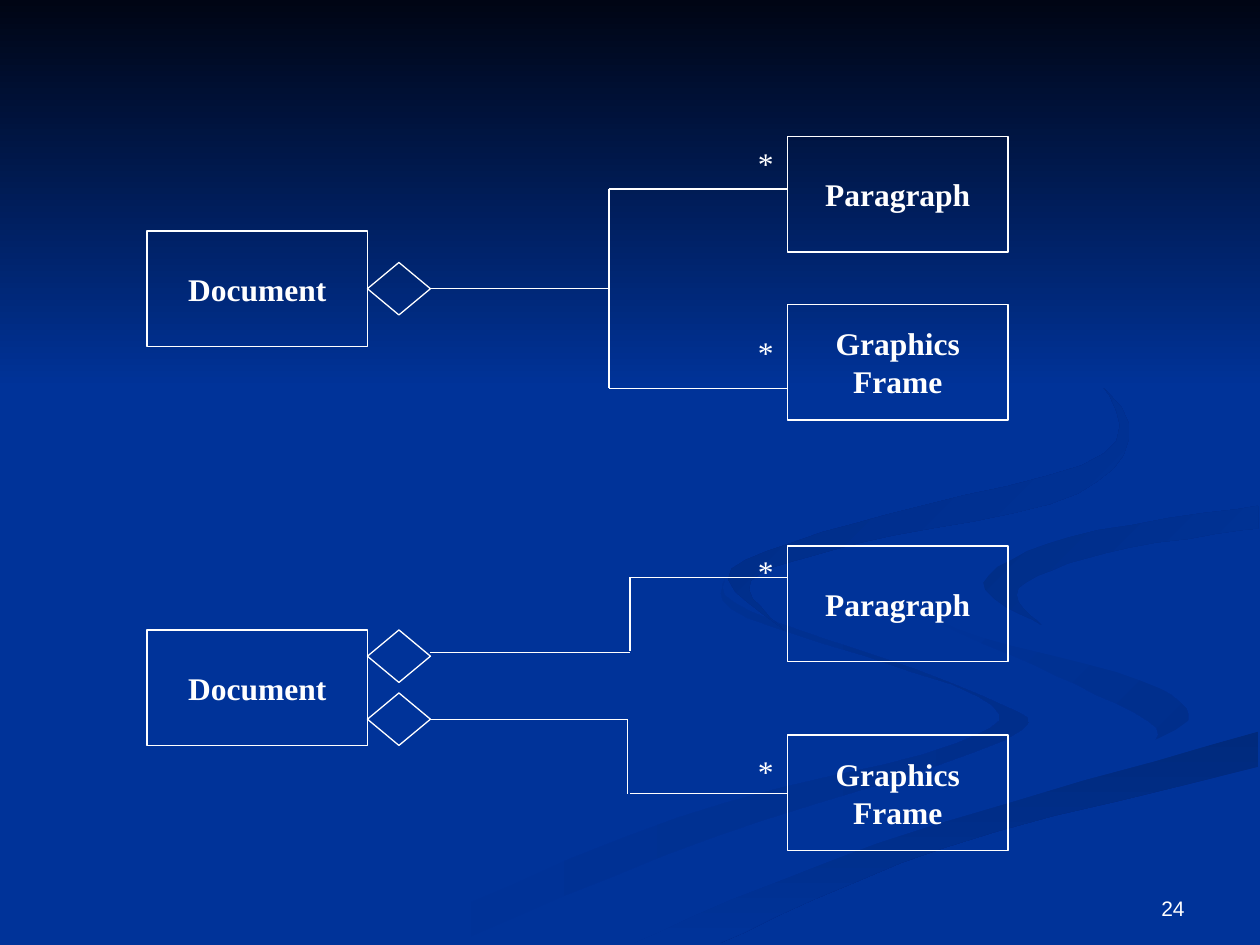
from lxml.etree import SubElement
from pptx import Presentation
from pptx.dml.color import RGBColor as Rgb
from pptx.enum.shapes import MSO_CONNECTOR as Conn, MSO_SHAPE as Kind
from pptx.enum.text import MSO_ANCHOR as Anchor, PP_ALIGN as Align
from pptx.oxml.ns import qn
from pptx.util import Pt

HUES = {
    "blue": "003399", "night": "000514", "white": "FFFFFF",
    "dusk": "002E8B", "deep": "002A7D", "mid": "002D86", "ink": "002B82",
}
SERIF = {"name": "Times New Roman", "size": Pt(18)}
BOLD = {**SERIF, "bold": True}
SANS = {"name": "Arial", "size": Pt(12)}

BOX_W, BOX_H = 126, 66
DOC_X, PART_X = 84, 450
GEM_X, GEM_W, GEM_H = DOC_X + BOX_W, 36, 30
STAR_X = 426

# Ribbons from back to front: first hue, last hue, clockwise angle, curved edges
RIBBONS = [
    ("blue", "dusk", 0, [
        [(414, 330), (428, 349), (562, 398), (574, 423), (406, 479), (260, 539)],
        [(216, 539), (388, 467), (546, 425), (559, 398), (427, 353), (414, 330)]]),
    ("blue", "dusk", 45, [
        [(521, 334), (546, 359), (652, 389), (679, 412), (644, 436)],
        [(644, 436), (661, 416), (603, 386), (528, 351), (521, 334)]]),
    ("deep", "blue", 90, [
        [(362, 539), (501, 482), (719, 418)],
        [(719, 438), (541, 484), (411, 539)]]),
    ("blue", "blue", 0, [
        [(719, 279), (613, 296), (522, 330), (546, 359), (652, 389), (679, 412),
         (585, 450), (343, 539)],
        [(362, 539), (501, 482), (719, 418)],
        [(719, 387), (599, 359), (563, 331), (612, 307), (719, 289)]]),
    ("mid", "blue", 45, [
        [(719, 289), (611, 307), (562, 333), (595, 357)],
        [(595, 357), (582, 336), (632, 316), (719, 302)]]),
    ("ink", "blue", 45, [
        [(448, 360), (429, 332), (492, 310), (616, 282), (641, 233), (549, 168)],
        [(549, 168), (621, 210), (631, 259), (507, 294), (418, 325), (448, 360)]]),
    ("night", "blue", 90, [[(0, 0), (720, 0)], [(720, 222), (0, 222)]]),
]


def hue(name):
    return Rgb.from_string(HUES[name])


def curve(dots, steps=6):
    """Return points on a smooth curve through all the dots."""
    ends = [dots[0], *dots, dots[-1]]
    path = [dots[0]]
    for a, b, c, d in zip(ends, ends[1:], ends[2:], ends[3:]):
        for step in range(1, steps + 1):
            t = step / steps
            path.append(tuple(
                q + t / 2 * (r - p + t * (2 * p - 5 * q + 4 * r - s
                                          + t * (3 * (q - r) + s - p)))
                for p, q, r, s in zip(a, b, c, d)))
    return path


def ribbon(slide, first, last, angle, edges):
    dots = [dot for edge in edges for dot in curve(edge)]
    pen = slide.shapes.build_freeform(*dots[0], scale=Pt(1))
    pen.add_line_segments(dots[1:], close=True)
    shape = pen.convert_to_shape()
    shape.shadow.inherit = False
    shape.line.fill.background()
    fill = shape.fill
    fill.gradient()
    fill.gradient_angle = -angle % 360
    for stop, name in zip(fill.gradient_stops, (first, last)):
        stop.color.rgb = hue(name)


def ink(item):
    """Give an outline its thin white line."""
    item.line.color.rgb = hue("white")
    item.line.width = Pt(0.75)


def write(shape, lines, font, align, anchor, wrap, gap=None):
    frame = shape.text_frame
    frame.word_wrap = wrap
    frame.vertical_anchor = anchor
    frame.text = "\n".join(lines)
    for para in frame.paragraphs:
        para.alignment = align
        para.space_before = gap
        for key, value in font.items():
            setattr(para.font, key, value)
        para.font.color.rgb = hue("white")


def outline(slide, kind, *area):
    shape = slide.shapes.add_shape(kind, *map(Pt, area))
    shape.shadow.inherit = False
    shape.fill.background()
    ink(shape)
    return shape


def box(slide, x, y, *lines):
    shape = outline(slide, Kind.RECTANGLE, x, y, BOX_W, BOX_H)
    write(shape, lines, BOLD, Align.CENTER, Anchor.MIDDLE, False)


def gem(slide, y):
    return outline(slide, Kind.DIAMOND, GEM_X, y, GEM_W, GEM_H)


def label(slide, area, text, font, align, anchor, gap=None):
    shape = slide.shapes.add_textbox(*map(Pt, area))
    write(shape, [text], font, align, anchor, True, gap)


def star(slide, y):
    area = (STAR_X, y, 18, 28.8)
    label(slide, area, "*", SERIF, Align.LEFT, Anchor.TOP, Pt(11.2))


def line(slide, x1, y1, x2, y2, start=None):
    """Draw a line, joined to the right corner of a diamond if one is given."""
    wire = slide.shapes.add_connector(Conn.STRAIGHT, *map(Pt, (x1, y1, x2, y2)))
    ink(wire)
    if start is not None:
        wire.begin_connect(start, 3)
    SubElement(wire._element.spPr, qn("a:effectLst"))


def main():
    deck = Presentation()
    deck.slide_width, deck.slide_height = Pt(720), Pt(540)
    slide = deck.slides.add_slide(deck.slide_layouts[6])
    back = slide.background.fill
    back.solid()
    back.fore_color.rgb = hue("blue")
    for row in RIBBONS:
        ribbon(slide, *row)

    for doc, para, frame in ((132, 78, 174), (360, 312, 420)):
        box(slide, DOC_X, doc, "Document")
        box(slide, PART_X, para, "Paragraph")
        box(slide, PART_X, frame, "Graphics", "Frame")
    for y in (79, 187, 312, 426):
        star(slide, y)
    shared, upper, lower = [gem(slide, y) for y in (150, 360, 396)]

    tip = GEM_X + GEM_W
    line(slide, tip, 165, 348, 165, shared)
    line(slide, 348, 108, 348, 222)
    for y in (108, 222):
        line(slide, 348, y, PART_X, y)

    line(slide, tip, 373, 360, 373)
    line(slide, 360, 330, 360, 372)
    line(slide, 360, 330, PART_X, 330)

    line(slide, tip, 411, 358.6, 411, lower)
    line(slide, 358.6, 411, 358.6, 453.6)
    line(slide, 360, 453.6, PART_X, 453.6)

    label(slide, (516, 492, 168, 37.4), "24", SANS, Align.RIGHT, Anchor.BOTTOM)
    deck.save("out.pptx")


if __name__ == "__main__":
    main()
